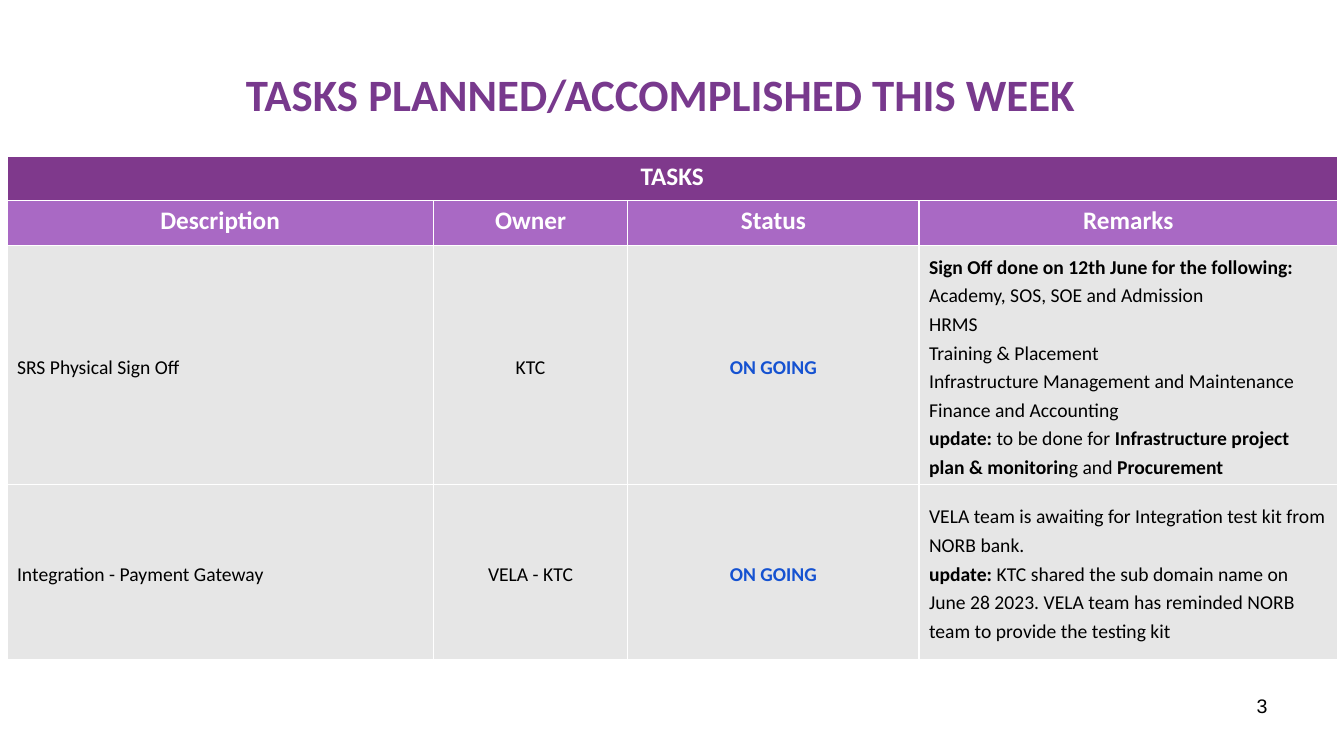
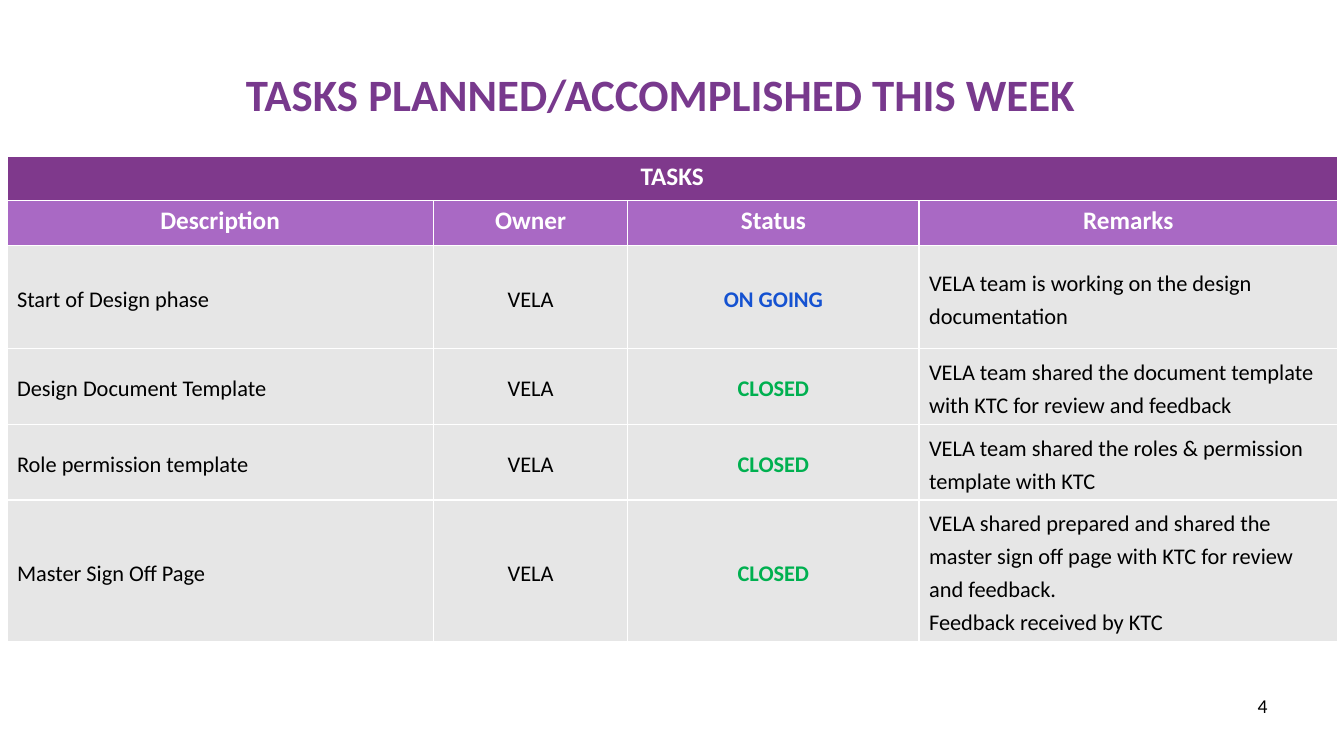
from lxml import etree
from pptx import Presentation
from pptx.dml.color import RGBColor
from pptx.enum.text import MSO_ANCHOR, PP_ALIGN
from pptx.oxml.ns import qn
from pptx.util import Pt

LEFT, CENTER, RIGHT = PP_ALIGN.LEFT, PP_ALIGN.CENTER, PP_ALIGN.RIGHT
TOP, MIDDLE = MSO_ANCHOR.TOP, MSO_ANCHOR.MIDDLE

# Shared look
FONT = "Calibri"
TITLE_COLOR, BAND, HEADER, BODY = "78398D", "7F398C", "A969C4", "E6E6E6"
WHITE, BLACK = "FFFFFF", "000000"
STATUS_COLORS = {"ON GOING": "1552D1", "CLOSED": "00B050"}

TITLE = "TASKS PLANNED/ACCOMPLISHED THIS WEEK"
HEADINGS = ["Description", "Owner", "Status", "Remarks"]
COLUMN_WIDTHS = [304.5, 139, 208, 299]
HEADER_HEIGHTS = [31.8, 32.2]

# Boxes: left, top, width, height
TITLE_BOX = (40, 21.6, 864, 90)
TABLE_BOX = (5, 111.6, sum(COLUMN_WIDTHS))
NUMBER_BOX = (688.5, 492, 224, 37.5)

# Each task: description, owner, status, remarks; ** switches bold on and off
SLIDES = [
    dict(number="3", number_font="Arial", size=14, heights=[170.7, 124.6], tasks=[
        ("SRS Physical Sign Off", "KTC", "ON GOING", [
            "**Sign Off done on 12th June for the following:**",
            "Academy, SOS, SOE and Admission",
            "HRMS",
            "Training & Placement",
            "Infrastructure Management and Maintenance",
            "Finance and Accounting",
            "**update:** to be done for **Infrastructure project plan & monitorin**g and "
            "**Procurement**"]),
        ("Integration - Payment Gateway", "VELA - KTC", "ON GOING", [
            "VELA team is awaiting for Integration test kit from NORB bank.",
            "**update: **KTC shared the sub domain name on June 28 2023. VELA team has "
            "reminded NORB team to provide the testing kit"]),
    ]),
    dict(number="4", number_font=FONT, size=16, heights=[73.5, 54.1, 54.1, 101], tasks=[
        ("Start of Design phase", "VELA", "ON GOING",
         ["VELA team is working on the design documentation"]),
        ("Design Document Template", "VELA", "CLOSED",
         ["VELA team shared the document template with KTC for review and feedback"]),
        ("Role permission template", "VELA", "CLOSED",
         ["VELA team shared the roles & permission template with KTC"]),
        ("Master Sign Off Page", "VELA", "CLOSED", [
            "VELA shared prepared and shared the master sign off page with KTC for review "
            "and feedback.",
            "Feedback received by KTC"]),
    ]),
]


def rgb(value):
    return RGBColor.from_string(value)


def write(tf, lines, size, color=BLACK, bold=False, align=LEFT, font=FONT, spacing=1.0):
    """Fill a text frame, one paragraph a line."""
    for i, line in enumerate(lines):
        p = tf.paragraphs[0] if i == 0 else tf.add_paragraph()
        p.alignment, p.line_spacing = align, spacing
        for j, part in enumerate(line.split("**")):
            if part:
                r = p.add_run()
                r.text = part
                look = dict(name=font, size=Pt(size), bold=bold or j % 2 == 1)
                for key, value in look.items():
                    setattr(r.font, key, value)
                r.font.color.rgb = rgb(color)


def place(sp, box):
    for key, value in zip(("left", "top", "width", "height"), box):
        setattr(sp, key, Pt(value))


def add_title(s, box):
    sp = s.shapes.title
    place(sp, box)
    tf = sp.text_frame
    tf.word_wrap, tf.vertical_anchor = True, MIDDLE
    write(tf, [TITLE], 32, TITLE_COLOR, True, CENTER)


def add_number(s, box, number, font):
    tf = s.shapes.add_textbox(*map(Pt, box)).text_frame
    tf.word_wrap = True
    write(tf, [number], 14, align=RIGHT, font=font)


def style_cell(cell, fill, anchor):
    """White 1 pt borders, then fill and anchor."""
    tc_pr = cell._tc.get_or_add_tcPr()
    for side in ("a:lnL", "a:lnR", "a:lnT", "a:lnB"):
        ln = etree.SubElement(tc_pr, qn(side), w=str(Pt(1)))
        solid = etree.SubElement(ln, qn("a:solidFill"))
        etree.SubElement(solid, qn("a:srgbClr"), val=WHITE)
    cell.fill.solid()
    cell.fill.fore_color.rgb = rgb(fill)
    cell.vertical_anchor = anchor


def add_task_table(s, box, tasks, heights, size):
    heights = HEADER_HEIGHTS + heights
    left, top, width = box
    table = s.shapes.add_table(len(heights), len(HEADINGS), Pt(left), Pt(top),
                               Pt(width), Pt(sum(heights))).table
    table.first_row = table.horz_banding = False
    for column, w in zip(table.columns, COLUMN_WIDTHS):
        column.width = Pt(w)
    for row, h in zip(table.rows, heights):
        row.height = Pt(h)

    # Band and column headings
    for c, heading in enumerate(HEADINGS):
        style_cell(table.cell(0, c), BAND, TOP)
        style_cell(table.cell(1, c), HEADER, TOP)
        write(table.cell(1, c).text_frame, [heading], 18, WHITE, True, CENTER)
    table.cell(0, 0).merge(table.cell(0, len(HEADINGS) - 1))
    write(table.cell(0, 0).text_frame, ["TASKS"], 18, WHITE, True, CENTER)

    # Task rows
    for i, (description, owner, status, remarks) in enumerate(tasks, 2):
        columns = [
            ([description], dict()),
            ([owner], dict(align=CENTER)),
            ([status], dict(align=CENTER, bold=True, color=STATUS_COLORS[status])),
            (remarks, dict()),
        ]
        for c, (lines, look) in enumerate(columns):
            cell = table.cell(i, c)
            style_cell(cell, BODY, MIDDLE)
            write(cell.text_frame, lines, size, spacing=1.2, **look)


def add_task_slide(prs, number, number_font, size, heights, tasks):
    s = prs.slides.add_slide(prs.slide_layouts[5])
    add_number(s, NUMBER_BOX, number, number_font)
    add_title(s, TITLE_BOX)
    add_task_table(s, TABLE_BOX, tasks, heights, size)


def main():
    prs = Presentation()
    prs.slide_width, prs.slide_height = Pt(960), Pt(540)
    for content in SLIDES:
        add_task_slide(prs, **content)
    prs.save("out.pptx")


if __name__ == "__main__":
    main()
